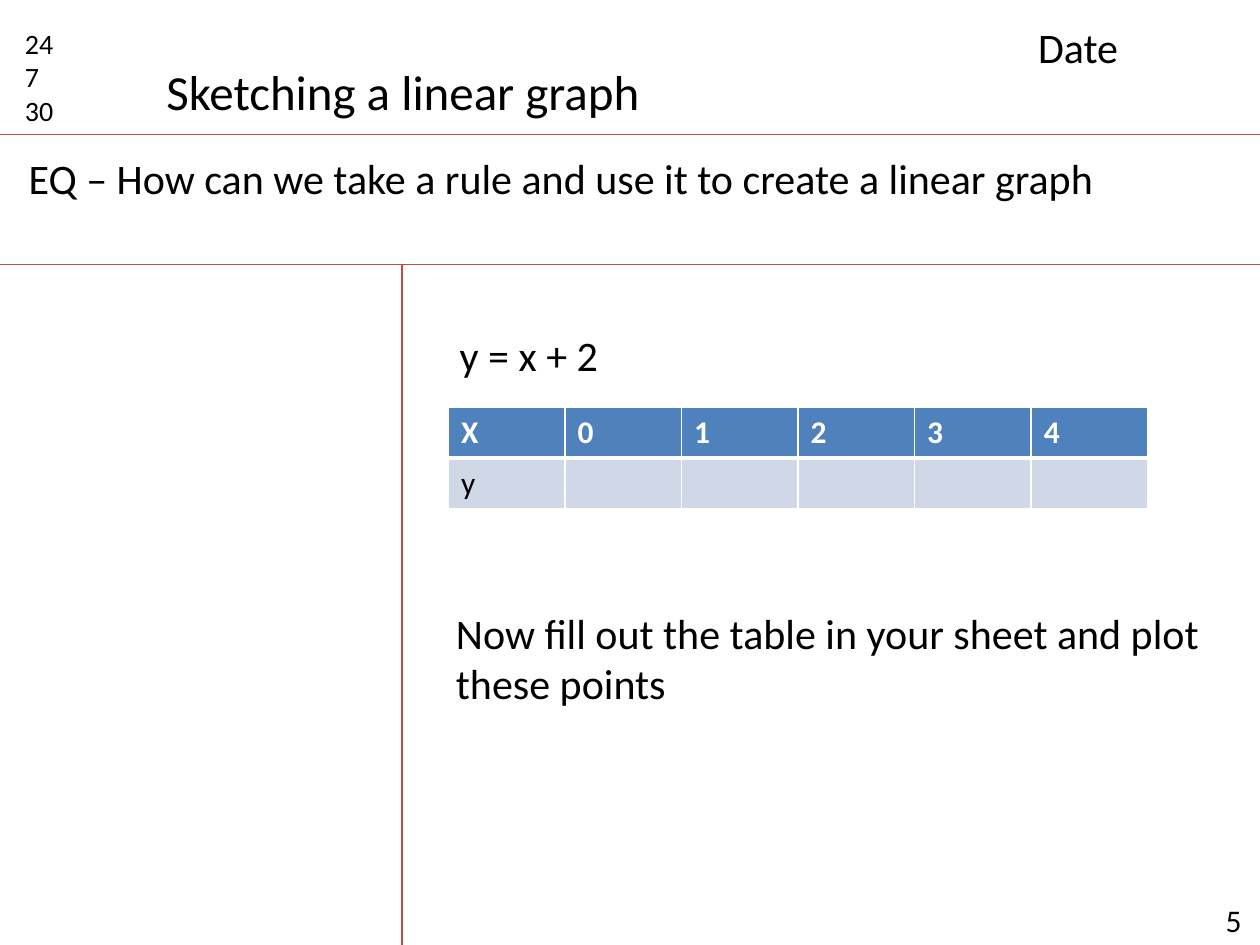
"""Build the worksheet slide on sketching a linear graph."""
from dataclasses import dataclass

from lxml.etree import SubElement
from pptx import Presentation
from pptx.dml.color import RGBColor
from pptx.enum.shapes import MSO_CONNECTOR
from pptx.enum.text import MSO_ANCHOR, PP_ALIGN
from pptx.oxml import parse_xml
from pptx.oxml.ns import nsdecls, qn
from pptx.util import Inches, Pt

FONT = "Calibri"
COLORS = {
    "text": "000000",
    "rule": "BF4C48",
    "header": "4F81BD",
    "band": "D0D8E8",
    "white": "FFFFFF",
}


@dataclass
class Note:
    left: float
    top: float
    width: float
    height: float
    lines: tuple[str, ...]
    size: int = 24


@dataclass
class Rule:
    x1: float
    y1: float
    x2: float
    y2: float


NOTES = (
    Note(9.63, 7.1, 0.37, 0.4, ("5",), 18),
    Note(0.1, 0.16, 0.63, 0.91, ("24", "7", "30"), 16),
    Note(8.14, 0.12, 1.73, 0.5, ("Date",)),
    Note(0.13, 1.16, 9.43, 0.5,
         ("EQ – How can we take a rule and use it to create a linear graph",)),
    Note(3.55, 2.57, 6.29, 0.5, ("y = x + 2",)),
    Note(3.52, 4.77, 6.29, 0.91,
         ("Now fill out the table in your sheet and plot these points",)),
)
RULES = (
    Rule(0, 1.07, 10, 1.07),
    Rule(0, 2.1, 10, 2.1),
    Rule(3.19, 2.1, 3.19, 7.5),
)
VALUES = (("X", "0", "1", "2", "3", "4"), ("y", "", "", "", "", ""))


def color(name: str) -> RGBColor:
    return RGBColor.from_string(COLORS[name])


def style(paragraph, size: int, tint: str = "text", bold: bool = False) -> None:
    font = paragraph.font
    font.name, font.size, font.bold = FONT, Pt(size), bold
    font.color.rgb = color(tint)


def add_note(slide, note: Note) -> None:
    box = slide.shapes.add_textbox(
        Inches(note.left), Inches(note.top), Inches(note.width), Inches(note.height))
    frame = box.text_frame
    frame.word_wrap = True
    frame.text = "\n".join(note.lines)
    for paragraph in frame.paragraphs:
        style(paragraph, note.size)


def add_rule(slide, rule: Rule) -> None:
    line = slide.shapes.add_connector(
        MSO_CONNECTOR.STRAIGHT, Inches(rule.x1), Inches(rule.y1),
        Inches(rule.x2), Inches(rule.y2))
    line.line.color.rgb = color("rule")
    line.line.width = Pt(0.75)
    SubElement(line._element.spPr, qn("a:effectLst"))


def set_borders(cell, top: float, bottom: float) -> None:
    widths = {"lnL": 1, "lnR": 1, "lnT": top, "lnB": bottom}
    properties = cell._tc.get_or_add_tcPr()
    for place, (side, width) in enumerate(widths.items()):
        properties.insert(place, parse_xml(
            f'<a:{side} {nsdecls("a")} w="{Pt(width)}"><a:solidFill>'
            f'<a:srgbClr val="{COLORS["white"]}"/></a:solidFill></a:{side}>'))


def add_values(slide) -> None:
    table = slide.shapes.add_table(
        len(VALUES), len(VALUES[0]), Inches(3.56), Inches(3.23),
        Inches(5.55), Inches(0.81)).table
    for r, row in enumerate(VALUES):
        header = r == 0
        for c, value in enumerate(row):
            cell = table.cell(r, c)
            cell.text = value
            style(cell.text_frame.paragraphs[0], 18,
                  "white" if header else "text", header)
            cell.fill.solid()
            cell.fill.fore_color.rgb = color("header" if header else "band")
            set_borders(cell, *((1, 3) if header else (3, 1)))


def add_title(slide) -> None:
    title = slide.shapes.title
    title.left, title.top = Inches(1.22), Inches(0.44)
    title.width, title.height = Inches(4), Inches(0.57)
    frame = title.text_frame
    frame.text = "Sketching a linear graph"
    frame.word_wrap = False
    frame.vertical_anchor = MSO_ANCHOR.TOP
    frame.paragraphs[0].alignment = PP_ALIGN.LEFT
    style(frame.paragraphs[0], 28)


def main() -> None:
    deck = Presentation()
    deck.slide_width, deck.slide_height = Inches(10), Inches(7.5)
    slide = deck.slides.add_slide(deck.slide_layouts.get_by_name("Title Only"))
    add_title(slide)
    for rule in RULES:
        add_rule(slide, rule)
    for note in NOTES:
        add_note(slide, note)
    add_values(slide)
    deck.save("out.pptx")


if __name__ == "__main__":
    main()
